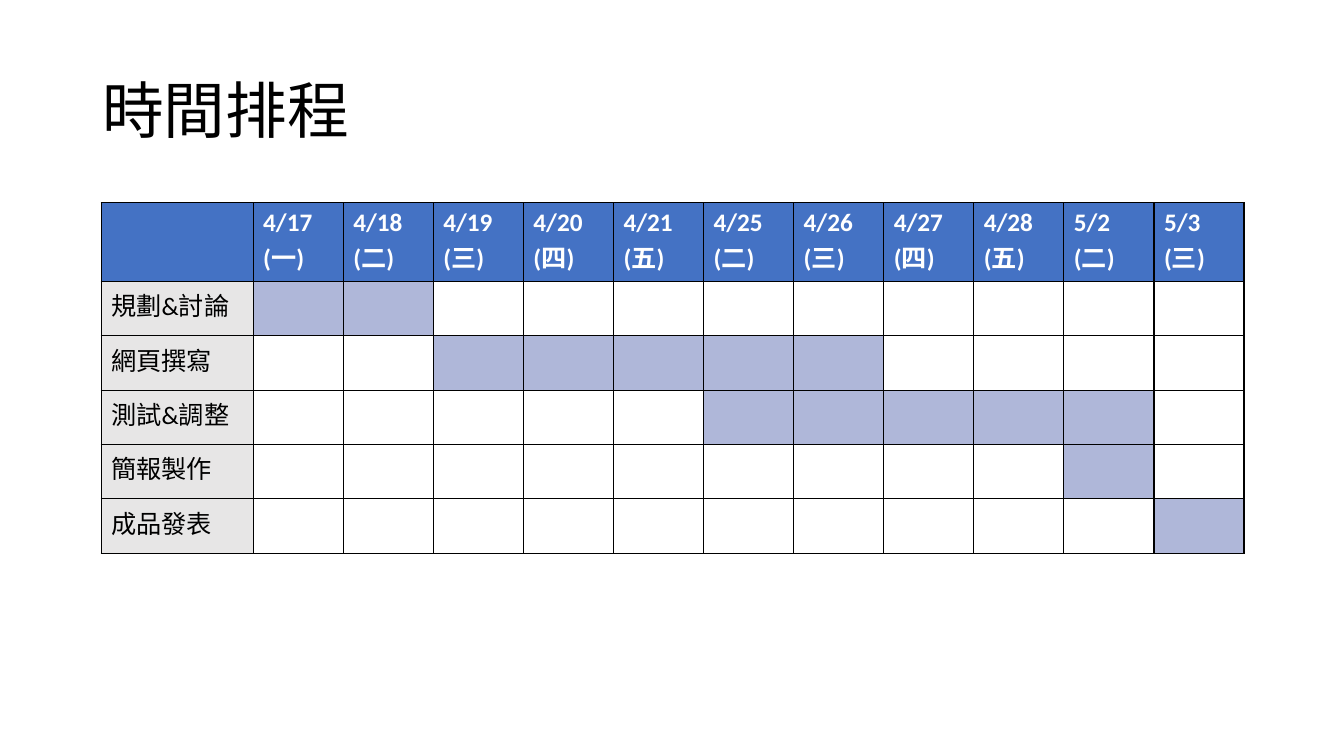
from dataclasses import dataclass

from lxml import etree
from pptx import Presentation
from pptx.dml.color import RGBColor
from pptx.enum.text import MSO_ANCHOR
from pptx.oxml.ns import qn
from pptx.util import Cm, Pt

MIDDLE = MSO_ANCHOR.MIDDLE
BLACK = RGBColor(0x00, 0x00, 0x00)
WHITE = RGBColor(0xFF, 0xFF, 0xFF)
HEADER_BLUE = RGBColor(0x44, 0x72, 0xC4)
LABEL_GREY = RGBColor(0xE7, 0xE6, 0xE6)
BUSY_BLUE = RGBColor(0xAF, 0xB7, 0xD9)

FONT = "Calibri"
TITLE_FORMAT = {"name": FONT, "size": Pt(44), "bold": False}
HEADER_FORMAT = {"name": FONT, "size": Pt(18), "bold": True}
LABEL_FORMAT = {"name": FONT, "size": Pt(18), "bold": False}

LABEL_WIDTH, DAY_WIDTH = Cm(3.83), Cm(2.27)
HEADER_HEIGHT, TASK_HEIGHT = Cm(1.98), Cm(1.37)


@dataclass
class Day:
    date: str
    weekday: str


@dataclass
class Task:
    name: str
    first_day: int
    last_day: int


DAYS = [
    Day("4/17", "一"), Day("4/18", "二"), Day("4/19", "三"), Day("4/20", "四"),
    Day("4/21", "五"), Day("4/25", "二"), Day("4/26", "三"), Day("4/27", "四"),
    Day("4/28", "五"), Day("5/2", "二"), Day("5/3", "三"),
]
# Days are counted from 1, matching the table columns
TASKS = [
    Task("規劃&討論", 1, 2),
    Task("網頁撰寫", 3, 7),
    Task("測試&調整", 6, 10),
    Task("簡報製作", 10, 10),
    Task("成品發表", 11, 11),
]


def write(frame, text: str, font_format: dict, color: RGBColor) -> None:
    frame.text = text
    for para in frame.paragraphs:
        for span in para.runs:
            for name, value in font_format.items():
                setattr(span.font, name, value)
            span.font.color.rgb = color


def add_borders(cell) -> None:
    properties = cell._tc.get_or_add_tcPr()
    for side in ("a:lnL", "a:lnR", "a:lnT", "a:lnB"):
        line = etree.SubElement(properties, qn(side), w=str(Pt(1)))
        fill = etree.SubElement(line, qn("a:solidFill"))
        etree.SubElement(fill, qn("a:srgbClr"), val=str(BLACK))


def paint(cell, color: RGBColor) -> None:
    cell.fill.solid()
    cell.fill.fore_color.rgb = color


def add_title(page, text: str) -> None:
    box = page.shapes.add_textbox(Cm(2.33), Cm(1.01), Cm(29.21), Cm(3.68))
    frame = box.text_frame
    frame.word_wrap = True
    frame.vertical_anchor = MIDDLE
    write(frame, text, TITLE_FORMAT, BLACK)
    frame.paragraphs[0].line_spacing = 0.9


def add_schedule(page, days: list[Day], tasks: list[Task]) -> None:
    table = page.shapes.add_table(
        len(tasks) + 1, len(days) + 1, Cm(2.55), Cm(5.11),
        LABEL_WIDTH + DAY_WIDTH * len(days),
        HEADER_HEIGHT + TASK_HEIGHT * len(tasks),
    ).table
    table.horz_banding = False

    # Grid sizes and borders
    for index, column in enumerate(table.columns):
        column.width = DAY_WIDTH if index else LABEL_WIDTH
    for index, row in enumerate(table.rows):
        row.height = TASK_HEIGHT if index else HEADER_HEIGHT
    for cell in table.iter_cells():
        add_borders(cell)
        cell.fill.background()

    # Header row
    paint(table.cell(0, 0), HEADER_BLUE)
    for column, day in enumerate(days, 1):
        cell = table.cell(0, column)
        paint(cell, HEADER_BLUE)
        write(cell.text_frame, f"{day.date}\n({day.weekday})", HEADER_FORMAT, WHITE)

    # Task labels and busy days
    for row, task in enumerate(tasks, 1):
        label = table.cell(row, 0)
        paint(label, LABEL_GREY)
        write(label.text_frame, task.name, LABEL_FORMAT, BLACK)
        for column in range(task.first_day, task.last_day + 1):
            paint(table.cell(row, column), BUSY_BLUE)


def main() -> None:
    deck = Presentation()
    deck.slide_width, deck.slide_height = Cm(33.87), Cm(19.05)
    page = deck.slides.add_slide(deck.slide_layouts[6])
    add_title(page, "時間排程")
    add_schedule(page, DAYS, TASKS)
    deck.save("out.pptx")


if __name__ == "__main__":
    main()
